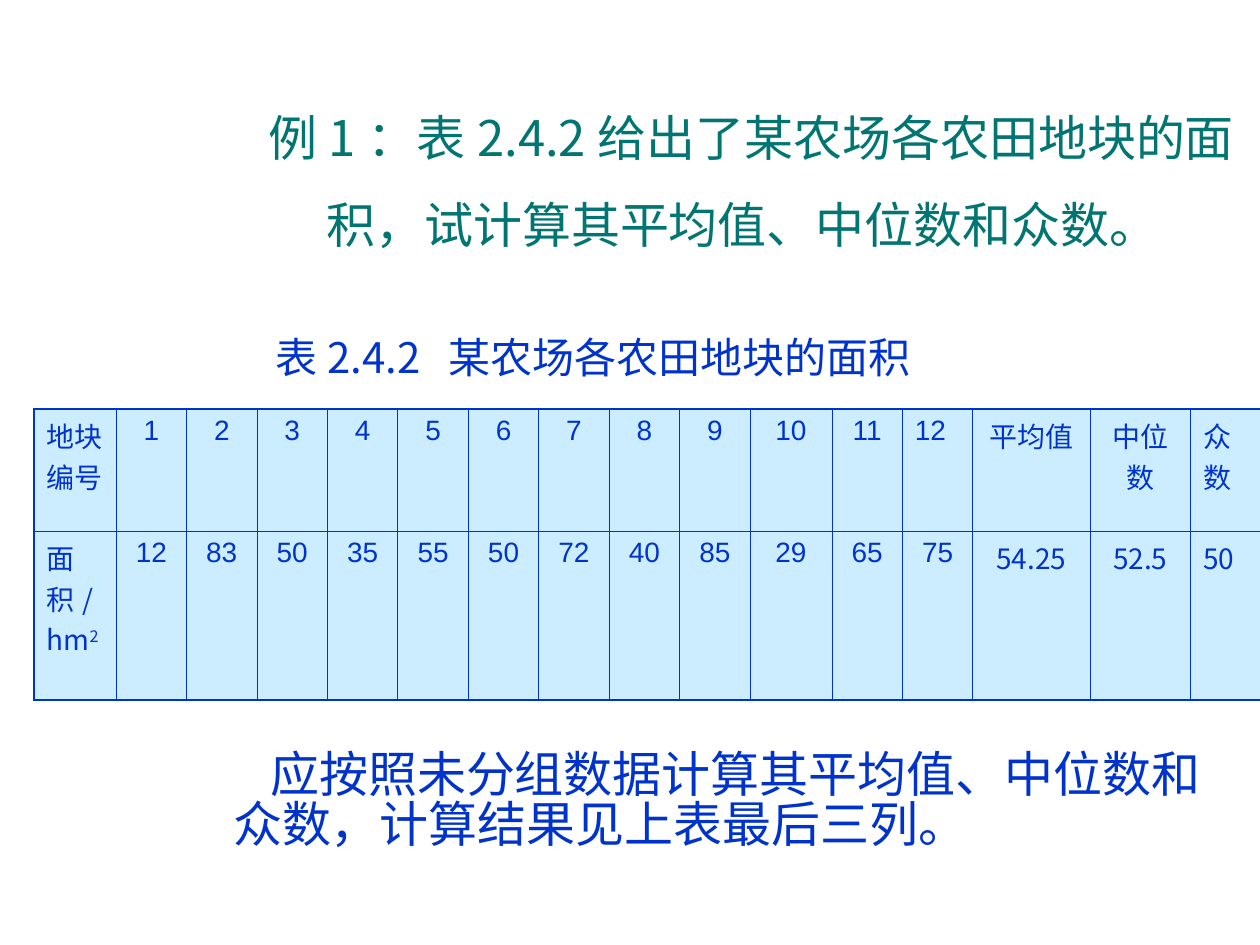
from lxml.etree import SubElement
from pptx import Presentation
from pptx.dml.color import RGBColor
from pptx.enum.text import MSO_ANCHOR, PP_ALIGN
from pptx.oxml.ns import qn
from pptx.util import Cm, Pt

TEAL = RGBColor(0x00, 0x75, 0x72)
BLUE = RGBColor(0x00, 0x33, 0xCC)
PALE_BLUE = RGBColor(0xCC, 0xEC, 0xFF)
CJK = "Noto Sans CJK SC"
THIN, THICK = 0.45, 1.08

HEADINGS = ["地块编号", *map(str, range(1, 13)), "平均值", "中位数", "众数"]
AREAS = ["面积/hm", "12", "83", "50", "35", "55", "50", "72", "40", "85",
         "29", "65", "75", "54.25", "52.5", "50"]
PLOT_COLUMNS = range(1, 13)
LEFT_ALIGNED = {(0, 0), (1, 0), (0, 12), (0, 15), (1, 15)}
COLUMN_WIDTH = 1.42
WIDE_COLUMNS = {0: 1.65, 10: 1.65, 13: 2.36, 14: 2.03}
ROW_HEIGHTS = [2.46, 3.4]


def style_run(r, size, color, font=CJK):
    r.font.size = Pt(size)
    r.font.name = font
    r.font.color.rgb = color
    SubElement(r._r.get_or_add_rPr(), qn("a:ea"), typeface=CJK)


def add_text(s, text, left, top, width, height, size, color):
    tf = s.shapes.add_textbox(Cm(left), Cm(top), Cm(width), Cm(height)).text_frame
    tf.word_wrap = True
    p = tf.paragraphs[0]
    p.text = text
    for r in p.runs:
        style_run(r, size, color)
    return tf


def set_border(cell, side, width):
    ln = SubElement(cell._tc.get_or_add_tcPr(), qn(f"a:{side}"), w=str(Pt(width)))
    fill = SubElement(ln, qn("a:solidFill"))
    SubElement(fill, qn("a:srgbClr"), val=str(BLUE))


def fill_cell(cell, text, font, align, borders):
    p = cell.text_frame.paragraphs[0]
    p.text = text
    p.alignment = align
    style_run(p.runs[0], 16, BLUE, font)
    # Borders come before the fill in the cell properties
    for side, width in borders.items():
        set_border(cell, side, width)
    cell.fill.solid()
    cell.fill.fore_color.rgb = PALE_BLUE


def add_area_table(s):
    rows = [HEADINGS, AREAS]
    last_row, last_col = len(rows) - 1, len(HEADINGS) - 1
    widths = [WIDE_COLUMNS.get(c, COLUMN_WIDTH) for c in range(last_col + 1)]
    table = s.shapes.add_table(len(rows), len(widths), Cm(0.69), Cm(8.25),
                               Cm(sum(widths)), Cm(sum(ROW_HEIGHTS))).table
    for column, width in zip(table.columns, widths):
        column.width = Cm(width)
    for row, height in zip(table.rows, ROW_HEIGHTS):
        row.height = Cm(height)

    for i, texts in enumerate(rows):
        for j, text in enumerate(texts):
            if j in PLOT_COLUMNS:
                font = "Arial"
            else:
                font = "Times New Roman" if i == 0 and j > 0 else CJK
            align = PP_ALIGN.LEFT if (i, j) in LEFT_ALIGNED else PP_ALIGN.CENTER
            borders = {
                "lnL": THICK if j == 0 else THIN,
                "lnR": THICK if j == last_col else THIN,
                "lnT": THICK if i == 0 else THIN,
                "lnB": THICK if i == last_row else THIN,
            }
            fill_cell(table.cell(i, j), text, font, align, borders)

    # Square in the unit hm²
    r = table.cell(1, 0).text_frame.paragraphs[0].add_run()
    r.text = "2"
    style_run(r, 16, BLUE)
    r._r.get_or_add_rPr().set("baseline", "30000")


def main():
    prs = Presentation()
    prs.slide_width, prs.slide_height = Cm(25.4), Cm(19.05)
    s = prs.slides.add_slide(prs.slide_layouts[6])

    # Question; the tall closing space opens up the last line
    tf = add_text(s, "例1：表2.4.2给出了某农场各农田地块的面积，试计算其平均值、中位数和众数。",
                  4.88, 2.1, 20.52, 3.18, 28, TEAL)
    tf.vertical_anchor = MSO_ANCHOR.MIDDLE
    p = tf.paragraphs[0]
    p.alignment = PP_ALIGN.CENTER
    r = p.add_run()
    r.text = " "
    style_run(r, 44, TEAL, "Arial")

    # Table with its caption
    tf = add_text(s, "表2.4.2\t某农场各农田地块的面积", 5.3, 6.55, 18.4, 1.27, 24, BLUE)
    pPr = tf.paragraphs[0]._p.get_or_add_pPr()
    tabs = SubElement(pPr, qn("a:tabLst"))
    SubElement(tabs, qn("a:tab"), pos=str(Cm(3.5)), algn="l")
    add_area_table(s)

    # Answer
    tf = add_text(s, "应按照未分组数据计算其平均值、中位数和众数，计算结果见上表最后三列。",
                  4.45, 15.04, 20.14, 2.64, 28, BLUE)
    p = tf.paragraphs[0]
    p.line_spacing = 0.85
    p._p.get_or_add_pPr().set("indent", str(Cm(0.75)))

    prs.save("out.pptx")


if __name__ == "__main__":
    main()
